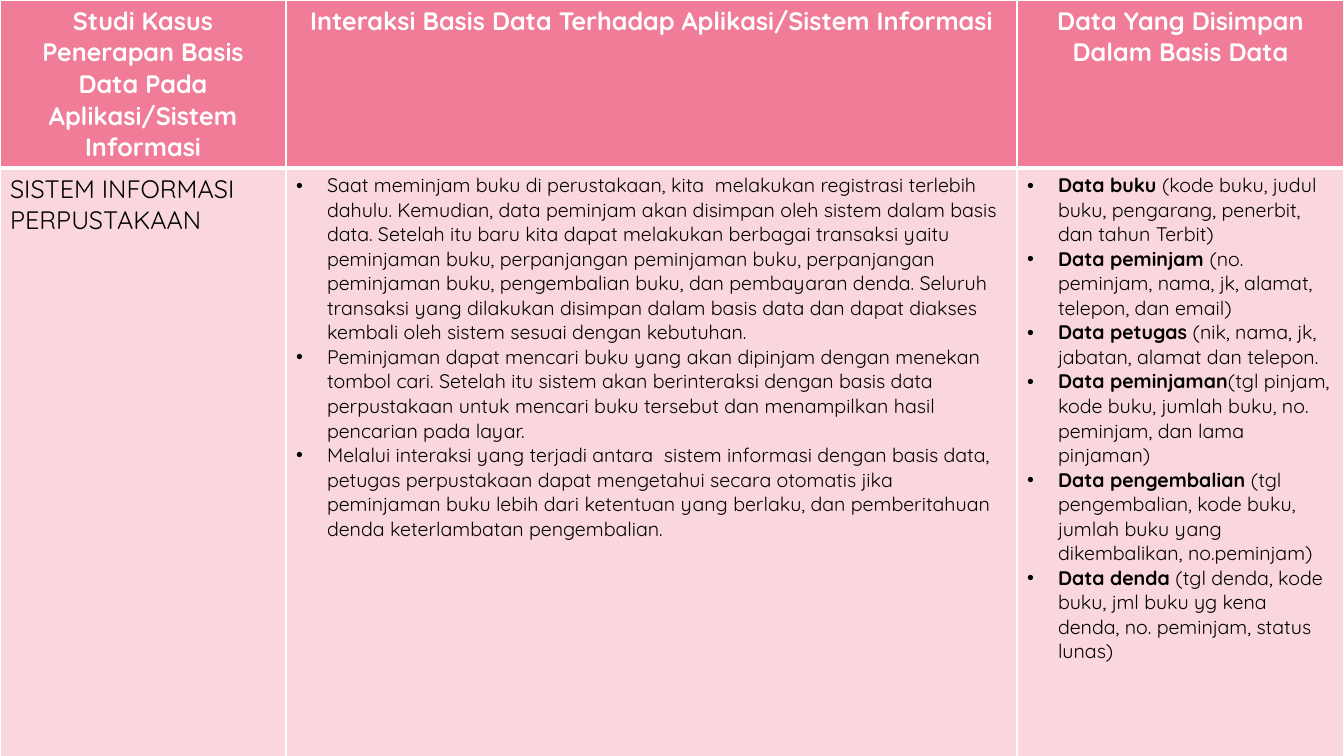
from lxml import etree
from pptx import Presentation
from pptx.dml.color import RGBColor as RGB
from pptx.enum.text import PP_ALIGN as AL
from pptx.oxml.ns import qn
from pptx.util import Pt

PX = 914400 / 100.8
COLORS = {"header": "F07C98", "body": "F9D7DD", "line": "FFFFFF",
          "header_text": "FFFFFF", "body_text": "000000"}
COL_WIDTHS = [286, 731, 327]
ROW_HEIGHTS = [167, 589]
INDENT = 31


def px(n):
    return round(n * PX)


def add_border(tc_pr, side, width):
    ln = etree.SubElement(tc_pr, qn(f"a:ln{side}"), w=str(Pt(width)))
    fill = etree.SubElement(ln, qn("a:solidFill"))
    etree.SubElement(fill, qn("a:srgbClr"), val=COLORS["line"])


# Content: each cell is a list of paragraphs, each a (bold part, plain part) pair
HEADERS = [
    [("Studi Kasus Penerapan Basis Data Pada Aplikasi/Sistem Informasi", "")],
    [("Interaksi Basis Data Terhadap Aplikasi/Sistem Informasi", "")],
    [("Data Yang Disimpan Dalam Basis Data", "")],
]
LIBRARY = [
    [("", "SISTEM INFORMASI PERPUSTAKAAN")],
    [
        ("", "Saat meminjam buku di perustakaan, kita  melakukan registrasi terlebih dahulu. "
             "Kemudian, data peminjam akan disimpan oleh sistem dalam basis data. Setelah itu "
             "baru kita dapat melakukan berbagai transaksi yaitu peminjaman buku, perpanjangan "
             "peminjaman buku, perpanjangan peminjaman buku, pengembalian buku, dan pembayaran "
             "denda. Seluruh transaksi yang dilakukan disimpan dalam basis data dan dapat "
             "diakses kembali oleh sistem sesuai dengan kebutuhan."),
        ("", "Peminjaman dapat mencari buku yang akan dipinjam dengan menekan tombol cari. "
             "Setelah itu sistem akan berinteraksi dengan basis data perpustakaan untuk mencari "
             "buku tersebut dan menampilkan hasil pencarian pada layar."),
        ("", "Melalui interaksi yang terjadi antara  sistem informasi dengan basis data, petugas "
             "perpustakaan dapat mengetahui secara otomatis jika peminjaman buku lebih dari "
             "ketentuan yang berlaku, dan pemberitahuan denda keterlambatan pengembalian."),
    ],
    [
        ("Data buku ", "(kode buku, judul buku, pengarang, penerbit, dan tahun Terbit)"),
        ("Data peminjam ", "(no. peminjam, nama, jk, alamat, telepon, dan email)"),
        ("Data petugas ", "(nik, nama, jk, jabatan, alamat dan telepon."),
        ("Data peminjaman", "(tgl pinjam, kode buku, jumlah buku, no. peminjam, dan lama pinjaman)"),
        ("Data pengembalian ", "(tgl pengembalian, kode buku, jumlah buku yang dikembalikan, "
                               "no.peminjam)"),
        ("Data denda ", "(tgl denda, kode buku, jml buku yg kena denda, no. peminjam, "
                        "status lunas)"),
    ],
]

# Slide
prs = Presentation()
prs.slide_width, prs.slide_height = px(1344), px(756)
s = prs.slides.add_slide(prs.slide_layouts[6])

# Table grid
table = s.shapes.add_table(2, 3, 0, 0, px(sum(COL_WIDTHS)), px(sum(ROW_HEIGHTS))).table
table.horz_banding = False
for col, width in zip(table.columns, COL_WIDTHS):
    col.width = px(width)
for row, height in zip(table.rows, ROW_HEIGHTS):
    row.height = px(height)

# Cells
for i, cells in enumerate([HEADERS, LIBRARY]):
    kind = "body" if i else "header"
    heavy_side = "T" if i else "B"
    for j, paragraphs in enumerate(cells):
        cell = table.cell(i, j)
        tc_pr = cell._tc.get_or_add_tcPr()
        for side in "LRTB":
            add_border(tc_pr, side, 3 if side == heavy_side else 1)
        cell.fill.solid()
        cell.fill.fore_color.rgb = RGB.from_string(COLORS[kind])

        # Paragraphs and runs
        is_list = i == 1 and j > 0
        tf = cell.text_frame
        for k, parts in enumerate(paragraphs):
            p = tf.add_paragraph() if k else tf.paragraphs[0]
            p.alignment = AL.LEFT if i else AL.CENTER
            if is_list:
                p_pr = p._p.get_or_add_pPr()
                p_pr.set("marL", str(px(INDENT)))
                p_pr.set("indent", str(-px(INDENT)))
                etree.SubElement(p_pr, qn("a:buFont"), typeface="Arial")
                etree.SubElement(p_pr, qn("a:buChar"), char="•")
            for bold, text in zip((True, False), parts):
                if text:
                    r = p.add_run()
                    r.text = text
                    style = {"name": "Quicksand", "size": Pt(14 if is_list else 18), "bold": bold}
                    for name, value in style.items():
                        setattr(r.font, name, value)
                    r.font.color.rgb = RGB.from_string(COLORS[f"{kind}_text"])

prs.save("out.pptx")
